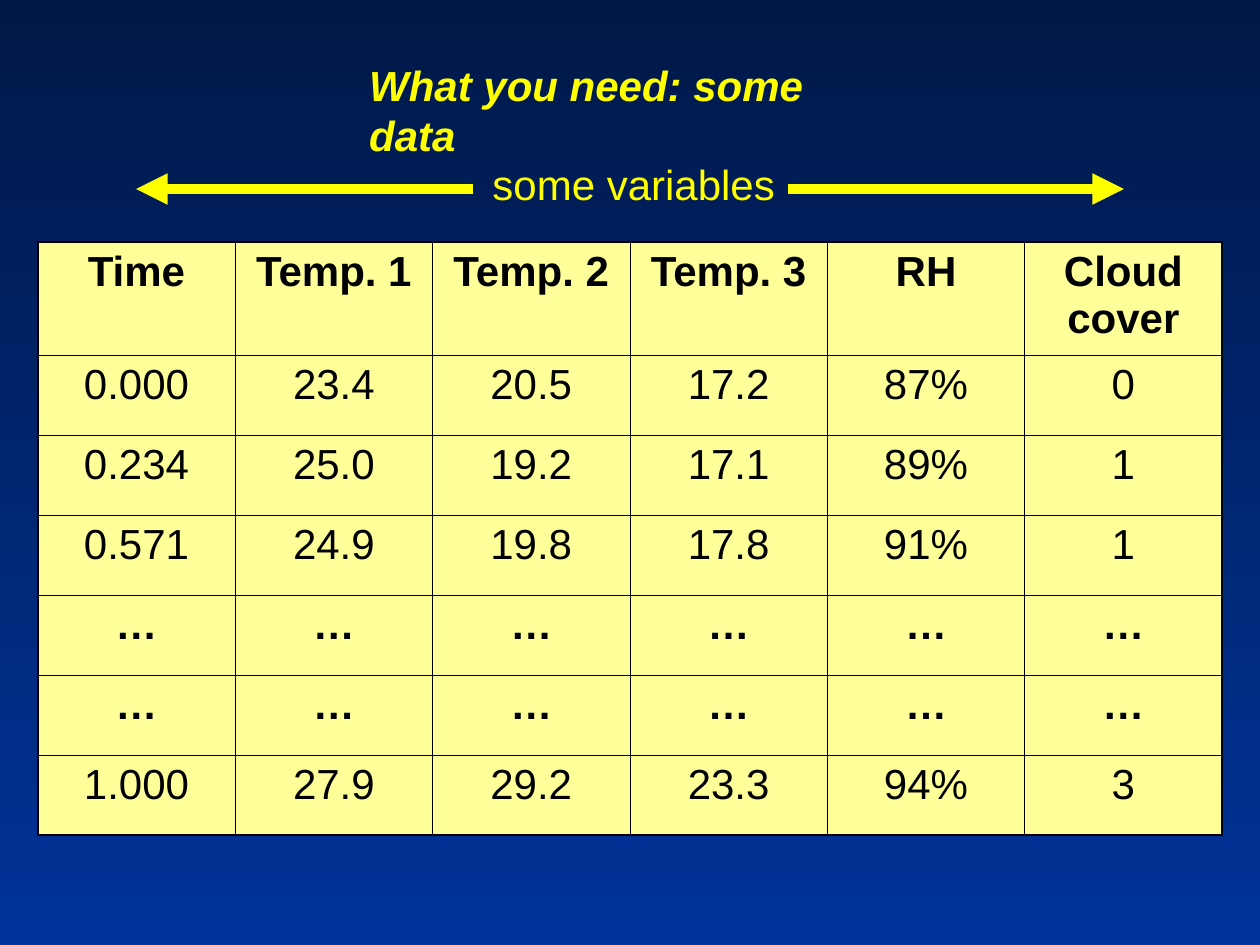
from lxml.etree import SubElement
from pptx import Presentation
from pptx.dml.color import RGBColor
from pptx.enum.shapes import MSO_CONNECTOR as Connector
from pptx.enum.text import MSO_ANCHOR as Anchor, MSO_AUTO_SIZE as AutoSize, PP_ALIGN as Align
from pptx.oxml.ns import qn
from pptx.util import Inches, Pt

YELLOW, CREAM, BLACK = "FFFF00", "FFFF99", "000000"
THIN, THICK = 0.45, 1.08
READINGS = [
    ["Time", "Temp. 1", "Temp. 2", "Temp. 3", "RH", "Cloud cover"],
    ["0.000", "23.4", "20.5", "17.2", "87%", "0"],
    ["0.234", "25.0", "19.2", "17.1", "89%", "1"],
    ["0.571", "24.9", "19.8", "17.8", "91%", "1"],
    ["…"] * 6,
    ["…"] * 6,
    ["1.000", "27.9", "29.2", "23.3", "94%", "3"],
]


def color(value):
    return RGBColor.from_string(value)


class SlideBuilder:
    """Holds the text style and the current slide, and adds elements to it."""

    def __init__(self, slide, font="Arial", size=24):
        self.slide, self.font, self.size = slide, font, size

    def background(self, top, bottom):
        fill = self.slide.background.fill
        fill.gradient()
        fill.gradient_angle = 270
        for stop, shade in zip(fill.gradient_stops, (top, bottom)):
            stop.color.rgb = color(shade)

    def style_text(self, frame, text, shade, align, bold=False, italic=False):
        frame.text = text
        paragraph = frame.paragraphs[0]
        paragraph.alignment = align
        for run in paragraph.runs:
            run.font.name, run.font.size = self.font, Pt(self.size)
            run.font.bold, run.font.italic = bold, italic
            run.font.color.rgb = color(shade)
        return paragraph

    def fit(self, label, text, bold=False, italic=False):
        frame = label.text_frame
        frame.word_wrap = False
        frame.auto_size = AutoSize.SHAPE_TO_FIT_TEXT
        frame.vertical_anchor = Anchor.TOP
        self.style_text(frame, text, YELLOW, Align.LEFT, bold, italic)

    def title(self, text, left, top, width, height):
        heading = self.slide.shapes.title
        heading.left, heading.top = Inches(left), Inches(top)
        heading.width, heading.height = Inches(width), Inches(height)
        self.fit(heading, text, bold=True, italic=True)

    def label(self, text, left, top, width, height):
        box = map(Inches, (left, top, width, height))
        self.fit(self.slide.shapes.add_textbox(*box), text)

    def arrow(self, start, end, y):
        arrow = self.slide.shapes.add_connector(
            Connector.STRAIGHT, Inches(start), Inches(y), Inches(end), Inches(y))
        arrow.line.color.rgb = color(YELLOW)
        arrow.line.width = Pt(6)
        outline = arrow._element.spPr.find(qn("a:ln"))
        SubElement(outline, qn("a:tailEnd"), type="triangle")
        SubElement(arrow._element.spPr, qn("a:effectLst"))

    def border(self, cell, side, width):
        edge = SubElement(cell._tc.get_or_add_tcPr(), qn(f"a:ln{side}"), w=str(Pt(width)))
        SubElement(SubElement(edge, qn("a:solidFill")), qn("a:srgbClr"), val=BLACK)

    def table(self, rows, left, top, width, height, header_height):
        last_row, last_column = len(rows) - 1, len(rows[0]) - 1
        grid = self.slide.shapes.add_table(
            len(rows), len(rows[0]), *map(Inches, (left, top, width, height))).table
        grid.first_row = grid.horz_banding = False
        for row in grid.rows:
            row.height = Inches((height - header_height) / last_row)
        grid.rows[0].height = Inches(header_height)
        for r, values in enumerate(rows):
            for c, value in enumerate(values):
                cell = grid.cell(r, c)
                bold = r == 0 or value == "…"
                paragraph = self.style_text(cell.text_frame, value, BLACK, Align.CENTER, bold)
                paragraph.space_before = Pt(6)
                outer = {"L": c == 0, "R": c == last_column, "T": r == 0, "B": r == last_row}
                for side, is_outer in outer.items():
                    self.border(cell, side, THICK if is_outer else THIN)
                cell.fill.solid()
                cell.fill.fore_color.rgb = color(CREAM)


def main():
    deck = Presentation()
    deck.slide_width, deck.slide_height = Inches(10), Inches(7.5)
    builder = SlideBuilder(deck.slides.add_slide(deck.slide_layouts[5]))
    builder.background("001847", "003399")
    builder.title("What you need: some data", 2.83, 0.42, 4.42, 0.5)
    builder.table(READINGS, 0.3, 1.92, 9.4, 4.71, header_height=0.9)
    builder.label("some variables", 3.81, 1.21, 2.44, 0.5)
    builder.arrow(6.25, 8.92, 1.5)
    builder.arrow(3.75, 1.08, 1.5)
    deck.save("out.pptx")


if __name__ == "__main__":
    main()
